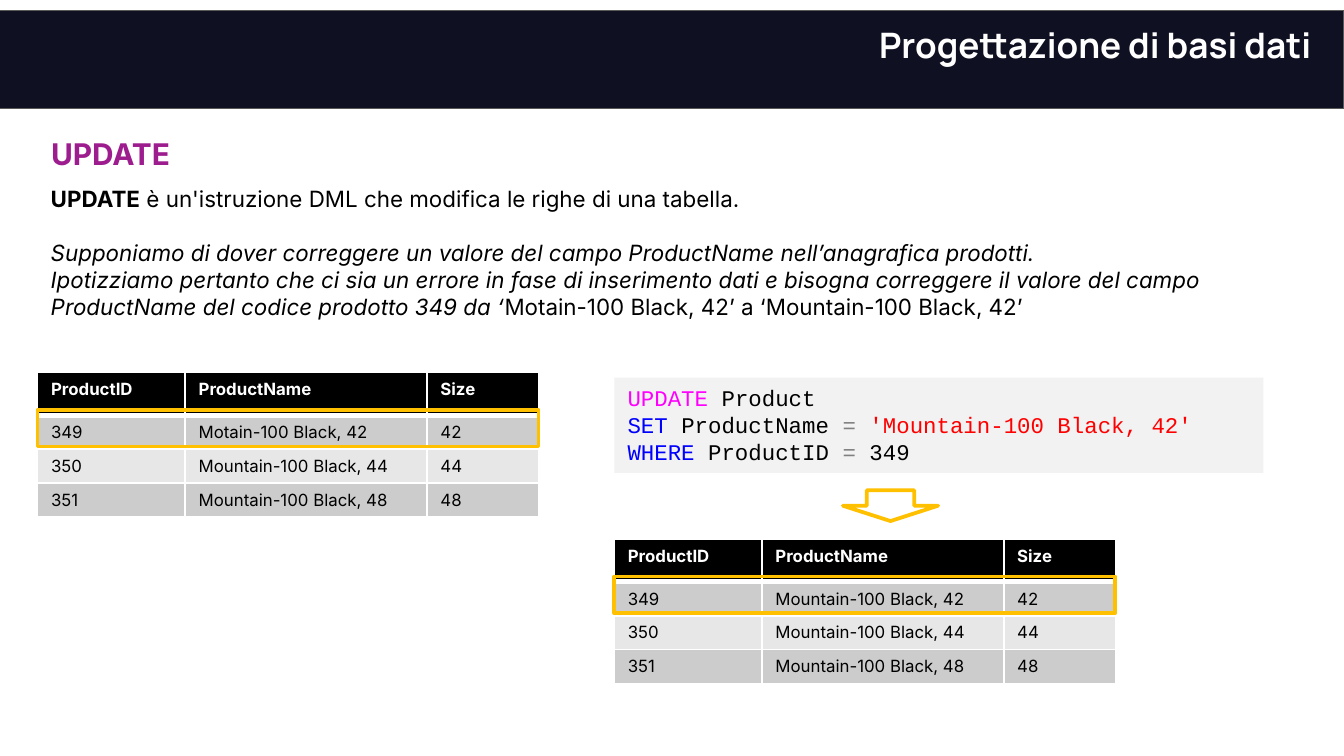
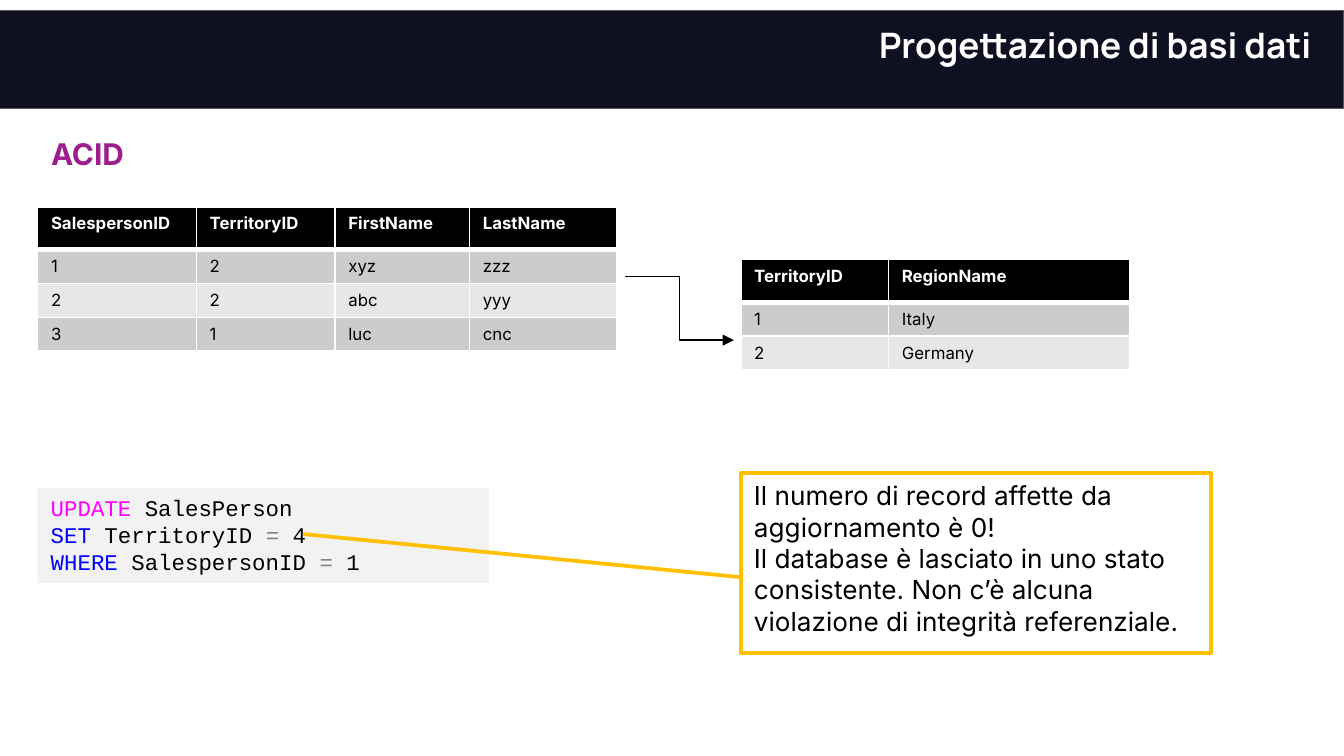
import lxml.etree
import pptx
import pptx.dml.color
import pptx.enum.shapes
import pptx.enum.text
import pptx.oxml.ns
import pptx.util

Cm = pptx.util.Cm
Pt = pptx.util.Pt
SHAPE = pptx.enum.shapes.MSO_SHAPE
ALIGN = pptx.enum.text.PP_ALIGN
ANCHOR = pptx.enum.text.MSO_ANCHOR

COLOURS = {
    "white": "FFFFFF",
    "black": "000000",
    "band": "101023",
    "band_line": "595959",
    "heading": "9D1D8F",
    "accent": "FFC000",
    "code_back": "F2F2F2",
    "row_dark": "CCCCCC",
    "row_light": "E7E7E7",
    "statement": "FF00FF",
    "keyword": "0000FF",
    "operator": "808080",
    "string": "FF0000",
}
BODY_FONT = "Inter"
CODE_FONT = "Courier New"
HEADER_FONT = "Manrope"

LEFT = 0.71
RIGHT_COLUMN = 11.61
NOTE_LEFT = 14
CONTENT_WIDTH = 23.5
HEADER_ROW = 0.81
BODY_ROW = 0.61
PRODUCT_COLUMNS = [2.79, 4.57, 2.11]


def rgb(name):
    return pptx.dml.color.RGBColor.from_string(COLOURS[name])


def add_xml(parent, tag, **attributes):
    return lxml.etree.SubElement(parent, pptx.oxml.ns.qn(tag), attributes)


def write(frame, lines, size, font=BODY_FONT, align=ALIGN.LEFT, anchor=ANCHOR.TOP):
    """Fill a frame; each line is a list of (text, colour, style) spans, style holding 'b' or 'i'."""
    frame.word_wrap = True
    frame.auto_size = pptx.enum.text.MSO_AUTO_SIZE.NONE
    frame.vertical_anchor = anchor
    for index, spans in enumerate(lines):
        para = frame.add_paragraph() if index else frame.paragraphs[0]
        para.alignment = align
        for text, colour, style in spans:
            span = para.add_run()
            span.text = text
            span.font.name = font
            span.font.size = Pt(size)
            span.font.bold = "b" in style
            span.font.italic = "i" in style
            span.font.color.rgb = rgb(colour)


def add_box(page, kind, left, top, width, height, fill=None, line=None, weight=2):
    box = page.shapes.add_shape(kind, Cm(left), Cm(top), Cm(width), Cm(height))
    box.shadow.inherit = False
    if fill:
        box.fill.solid()
        box.fill.fore_color.rgb = rgb(fill)
    else:
        box.fill.background()
    if line:
        box.line.color.rgb = rgb(line)
        box.line.width = Pt(weight)
    else:
        box.line.fill.background()
    return box


def add_text(page, left, top, width, height, lines, size, **layout):
    box = page.shapes.add_textbox(Cm(left), Cm(top), Cm(width), Cm(height))
    write(box.text_frame, lines, size, **layout)
    return box


def add_page(deck, heading):
    """Add a slide with the dark band, the course name and its own heading."""
    page = deck.slides.add_slide(deck.slide_layouts[5])
    add_box(page, SHAPE.RECTANGLE, -0.03, 0.2, 25.43, 1.85, "band", "band_line", 0.75)
    course = add_text(page, RIGHT_COLUMN, 0.2, 13.44, 0.89,
                      [[("Progettazione di basi dati", "white", "b")]], 18.8,
                      font=HEADER_FONT, align=ALIGN.RIGHT)
    course.text_frame.margin_top = course.text_frame.margin_bottom = Cm(0.25)

    title = page.shapes.title
    title.left, title.top = Cm(LEFT), Cm(2.34)
    title.width, title.height = Cm(CONTENT_WIDTH), Cm(1.04)
    write(title.text_frame, [[(heading, "heading", "b")]], 16,
          align=ALIGN.JUSTIFY, anchor=ANCHOR.MIDDLE)
    title.text_frame.paragraphs[0].line_spacing = 1.15
    return page


def set_borders(cell, row):
    """White borders of 1 pt, with 3 pt between the header and the first row."""
    properties = cell._tc.get_or_add_tcPr()
    weights = {"a:lnL": 1, "a:lnR": 1, "a:lnT": 3 if row == 1 else 1, "a:lnB": 1 if row else 3}
    for tag, weight in weights.items():
        line = add_xml(properties, tag, w=str(Pt(weight)))
        add_xml(add_xml(line, "a:solidFill"), "a:srgbClr", val=COLOURS["white"])


def add_data_table(page, left, top, widths, rows):
    heights = [HEADER_ROW] + [BODY_ROW] * (len(rows) - 1)
    table = page.shapes.add_table(len(rows), len(widths), Cm(left), Cm(top),
                                  Cm(sum(widths)), Cm(sum(heights))).table
    for column, width in zip(table.columns, widths):
        column.width = Cm(width)
    for index, (values, height) in enumerate(zip(rows, heights)):
        table.rows[index].height = Cm(height)
        fill = "black" if index == 0 else "row_dark" if index % 2 else "row_light"
        for column, value in enumerate(values):
            cell = table.cell(index, column)
            set_borders(cell, index)
            cell.fill.solid()
            cell.fill.fore_color.rgb = rgb(fill)
            cell.vertical_anchor = ANCHOR.MIDDLE if index else ANCHOR.TOP
            cell.text_frame.text = value
            font = cell.text_frame.paragraphs[0].runs[0].font
            font.name = BODY_FONT
            font.size = Pt(9)
            font.bold = index == 0
            font.color.rgb = rgb("black" if index else "white")


def add_product_table(page, left, top, first_name):
    """Product table whose first row is outlined."""
    add_data_table(page, left, top, PRODUCT_COLUMNS, [
        ["ProductID", "ProductName", "Size"],
        ["349", first_name, "42"],
        ["350", "Mountain-100 Black, 44", "44"],
        ["351", "Mountain-100 Black, 48", "48"],
    ])
    add_box(page, SHAPE.RECTANGLE, left, top + 0.71, sum(PRODUCT_COLUMNS), 0.69, line="accent")


def add_update_code(page, left, top, width, table, field, value, value_colour, key, key_value):
    box = add_box(page, SHAPE.RECTANGLE, left, top, width, 1.8, "code_back")
    write(box.text_frame, [
        [("UPDATE", "statement", ""), (f" {table}", "black", "")],
        [("SET", "keyword", ""), (f" {field} ", "black", ""),
         ("= ", "operator", ""), (value, value_colour, "")],
        [("WHERE", "keyword", ""), (f" {key} ", "black", ""),
         ("=", "operator", ""), (f" {key_value}", "black", "")],
    ], 12, font=CODE_FONT)


def add_elbow_arrow(page, start_x, start_y, end_x, end_y):
    arrow = page.shapes.add_connector(pptx.enum.shapes.MSO_CONNECTOR.ELBOW,
                                      Cm(start_x), Cm(start_y), Cm(end_x), Cm(end_y))
    arrow.line.color.rgb = rgb("black")
    arrow.line.width = Pt(0.75)
    add_xml(arrow.line._get_or_add_ln(), "a:tailEnd", type="triangle")
    add_xml(arrow._element.spPr, "a:effectLst")


def add_callout(page, left, top, width, height, pointer, lines):
    callout = add_box(page, SHAPE.LINE_CALLOUT_1, left, top, width, height, line="accent")
    for index, value in enumerate(pointer):
        callout.adjustments[index] = value
    write(callout.text_frame, [[(line, "black", "")] for line in lines], 14)


def build_update_page(deck):
    page = add_page(deck, "UPDATE")
    description = add_text(page, LEFT, 3.38, CONTENT_WIDTH, 2.82, [
        [("UPDATE", "black", "b"),
         (" è un'istruzione DML che modifica le righe di una tabella.", "black", "")],
        [("Supponiamo di dover correggere un valore del campo ProductName "
          "nell’anagrafica prodotti.", "black", "i")],
        [("Ipotizziamo pertanto che ci sia un errore in fase di inserimento dati e bisogna "
          "correggere il valore del campo ProductName del codice prodotto 349 da ‘",
          "black", "i"),
         ("Motain-100 Black, 42’ a ‘Mountain-100 Black, 42’", "black", "")],
    ], 12)
    description.text_frame.paragraphs[1].space_before = Pt(14.5)

    add_product_table(page, LEFT, 7.04, "Motain-100 Black, 42")
    add_update_code(page, RIGHT_COLUMN, 7.14, 12.27, "Product", "ProductName",
                    "'Mountain-100 Black, 42'", "string", "ProductID", "349")
    add_product_table(page, RIGHT_COLUMN, 10.19, "Mountain-100 Black, 42")
    add_box(page, SHAPE.DOWN_ARROW, 15.93, 9.27, 1.8, 0.58, line="accent")


def build_acid_page(deck):
    page = add_page(deck, "ACID")
    add_data_table(page, LEFT, 3.91, [3, 2.62, 2.54, 2.79], [
        ["SalespersonID", "TerritoryID", "FirstName", "LastName"],
        ["1", "2", "xyz", "zzz"],
        ["2", "2", "abc", "yyy"],
        ["3", "1", "luc", "cnc"],
    ])
    add_data_table(page, NOTE_LEFT, 4.9, [2.79, 4.57], [
        ["TerritoryID", "RegionName"],
        ["1", "Italy"],
        ["2", "Germany"],
    ])
    add_elbow_arrow(page, 11.81, 5.23, 13.87, 6.43)
    add_update_code(page, LEFT, 9.22, 8.53, "SalesPerson", "TerritoryID",
                    "4", "black", "SalespersonID", "1")
    add_callout(page, NOTE_LEFT, 8.94, 8.89, 3.4, [0.58, 0, 0.34, -0.93], [
        "Il numero di record affette da aggiornamento è 0!",
        "Il database è lasciato in uno stato consistente. "
        "Non c’è alcuna violazione di integrità referenziale.",
    ])


def main():
    deck = pptx.Presentation()
    deck.slide_width, deck.slide_height = Cm(25.4), Cm(14.29)
    build_update_page(deck)
    build_acid_page(deck)
    deck.save("out.pptx")


if __name__ == "__main__":
    main()
